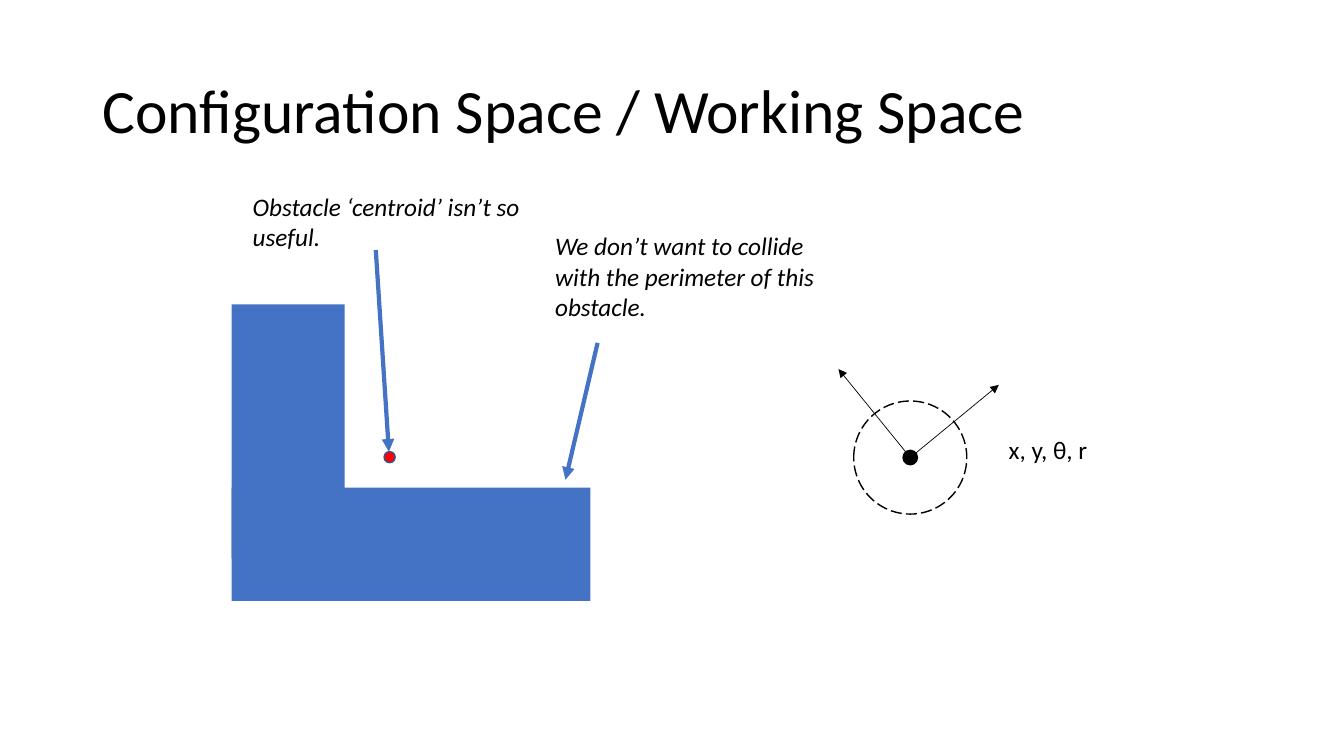
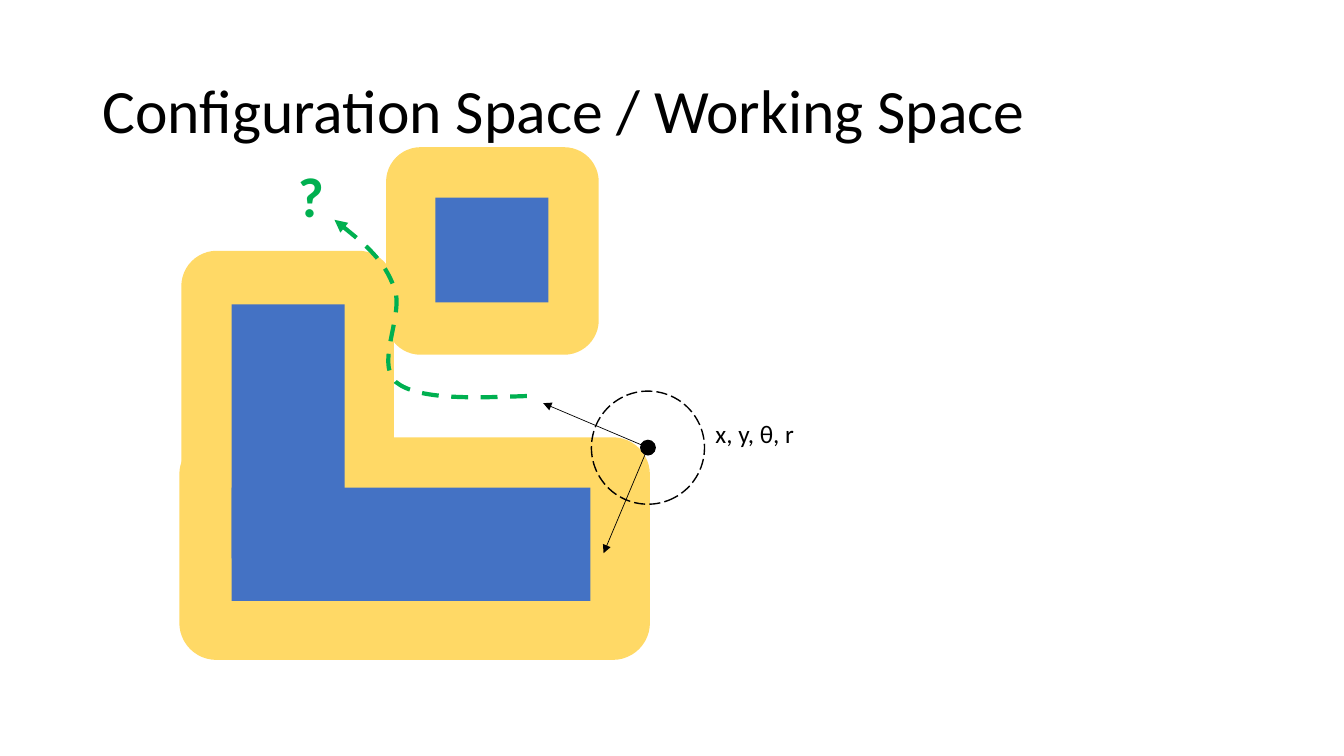
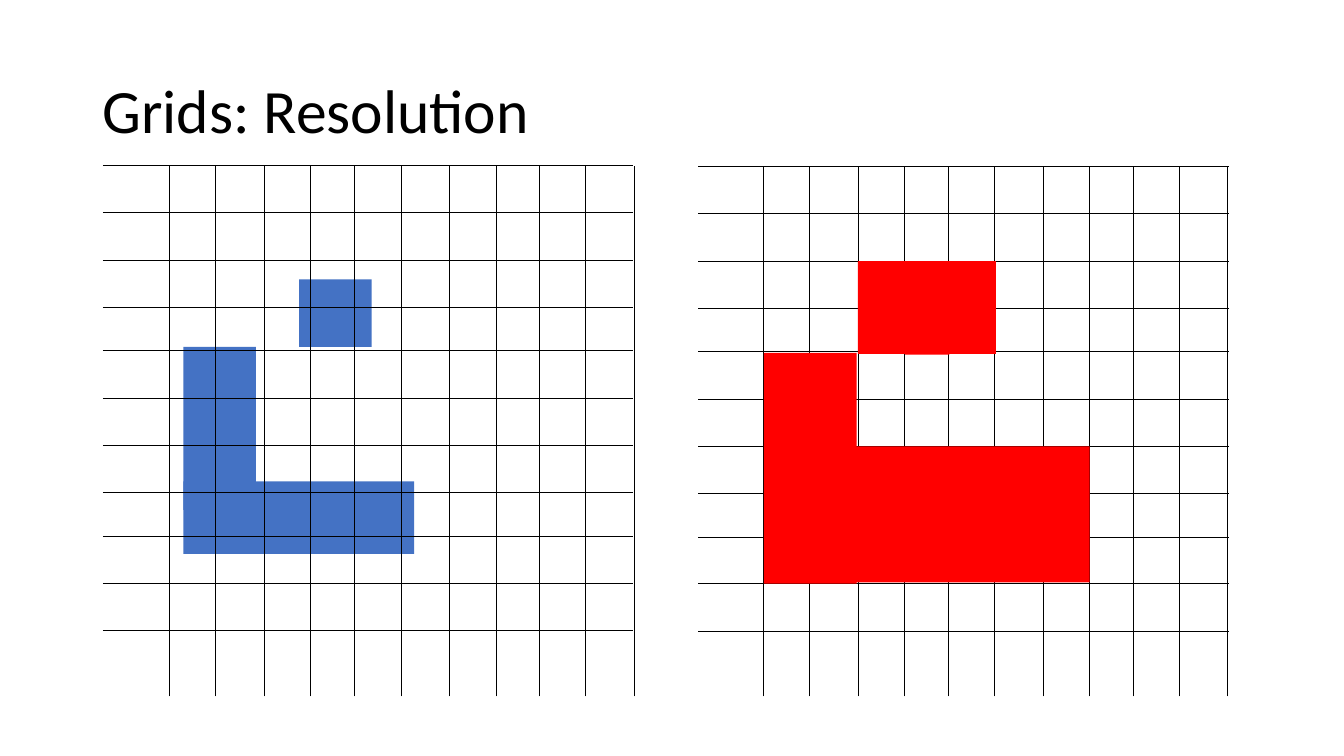
from dataclasses import dataclass
from itertools import accumulate

from lxml.etree import SubElement
from pptx import Presentation
from pptx.dml.color import RGBColor
from pptx.enum.dml import MSO_LINE_DASH_STYLE as Dash
from pptx.enum.shapes import MSO_CONNECTOR_TYPE as Connector, MSO_SHAPE as Shape
from pptx.enum.text import MSO_ANCHOR as Anchor, MSO_AUTO_SIZE as AutoSize, PP_ALIGN as Align
from pptx.oxml.ns import qn
from pptx.util import Cm, Pt


@dataclass(frozen=True)
class Theme:
    font: str = "Calibri"
    ink: str = "000000"
    obstacle: str = "4472C4"
    outline: str = "325491"
    margin: str = "FFD966"
    occupied: str = "FF0000"
    route: str = "00B050"
    title_size: int = 44
    text_size: int = 18
    mark_size: int = 40
    thin: float = 0.5
    medium: float = 1
    thick: float = 3


T = Theme()
TITLE_BOX = (2.33, 1.01, 29.21, 3.68)
ROW_GAPS = (1.19, 1.2, 1.19, 1.09, 1.2, 1.19, 1.19, 1.1, 1.17, 1.19)
COLUMN_GAPS = (1.17, 1.22, 1.17, 1.11, 1.17, 1.22, 1.17, 1.09, 1.17, 1.22)
GRID_SIDE = 13.36
L_OBSTACLE = ((5.84, 7.67, 2.85, 6.4), (5.84, 12.29, 9.04, 2.85))
SMALL_OBSTACLES = (
    (4.62, 8.74, 1.83, 4.11),
    (4.62, 12.13, 5.82, 1.83),
    (7.54, 7.04, 1.83, 1.7),
)
OCCUPIED_CELLS = (
    (22.78, 6.58, 1.12, 1.17),
    (22.81, 7.77, 1.12, 1.17),
    (21.62, 6.58, 3.48, 2.34),
    (19.25, 8.89, 2.34, 5.82),
    (19.51, 11.25, 7.95, 3.43),
)


def rgb(color):
    return RGBColor.from_string(color)


def cm(*values):
    return [Cm(v) for v in values]


def style_font(p, size, color=T.ink, bold=False, italic=False):
    for r in p.runs:
        r.font.name = T.font
        r.font.size = Pt(size)
        r.font.bold = bold
        r.font.italic = italic
        r.font.color.rgb = rgb(color)


def style_line(sp, color, width, dash=None, arrow=False):
    sp.line.color.rgb = rgb(color)
    sp.line.width = Pt(width)
    if dash:
        sp.line.dash_style = dash
    if arrow:
        ln = sp._element.spPr.find(qn("a:ln"))
        SubElement(ln, qn("a:tailEnd"), type="triangle")


def add_slide(prs, title):
    s = prs.slides.add_slide(prs.slide_layouts[5])
    sp = s.shapes.title
    sp.left, sp.top, sp.width, sp.height = cm(*TITLE_BOX)
    tf = sp.text_frame
    tf.text = title
    tf.vertical_anchor = Anchor.MIDDLE
    p = tf.paragraphs[0]
    p.alignment = Align.LEFT
    p.line_spacing = 0.9
    style_font(p, T.title_size)
    return s


def add_text(s, box, text, size=T.text_size, wrap=True, **style):
    tf = s.shapes.add_textbox(*cm(*box)).text_frame
    tf.word_wrap = wrap
    tf.auto_size = AutoSize.SHAPE_TO_FIT_TEXT
    tf.text = text
    style_font(tf.paragraphs[0], size, **style)


def add_shape(s, kind, box, fill=None):
    sp = s.shapes.add_shape(kind, *cm(*box))
    sp.shadow.inherit = False
    if fill:
        sp.fill.solid()
        sp.fill.fore_color.rgb = rgb(fill)
    else:
        sp.fill.background()
    sp.line.fill.background()
    return sp


def add_blocks(s, boxes, fill, kind=Shape.RECTANGLE):
    for box in boxes:
        add_shape(s, kind, box, fill)


def add_circle(s, center, diameter, fill=None):
    x, y = center
    box = (x - diameter / 2, y - diameter / 2, diameter, diameter)
    return add_shape(s, Shape.OVAL, box, fill)


def add_line(s, start, end, color=T.ink, width=T.thin, arrow=False):
    c = s.shapes.add_connector(Connector.STRAIGHT, *cm(*start, *end))
    style_line(c, color, width, arrow=arrow)
    SubElement(c._element.spPr, qn("a:effectLst"))


def add_curve(s, points, color, width):
    start, *rest = [cm(*point) for point in points]
    builder = s.shapes.build_freeform(*start)
    builder.add_line_segments(rest, close=False)
    sp = builder.convert_to_shape()
    sp.shadow.inherit = False
    sp.fill.background()
    style_line(sp, color, width, Dash.DASH, arrow=True)
    segments = list(sp._element.iter(qn("a:lnTo")))
    outline = segments[0].getparent()
    for i in range(0, len(segments), 3):
        bezier = SubElement(outline, qn("a:cubicBezTo"))
        for segment in segments[i:i + 3]:
            bezier.append(segment[0])
            outline.remove(segment)


def add_robot(s, center, tips, label_at, rotation=0):
    add_circle(s, center, 0.4, T.ink)
    for tip in tips:
        add_line(s, center, tip, arrow=True)
    ring = add_circle(s, center, 2.85)
    ring.rotation = rotation
    style_line(ring, T.ink, T.medium, Dash.LONG_DASH)
    add_text(s, (*label_at, 2.51, 1.02), "x, y, θ, r", wrap=False)


def add_grid(s, left, top, first_column):
    for y in accumulate(ROW_GAPS, initial=top):
        add_line(s, (left, y), (left + GRID_SIDE, y))
    for x in accumulate(COLUMN_GAPS, initial=first_column):
        add_line(s, (x, 4.19 + GRID_SIDE), (x, 4.19))


def build_perimeter(prs):
    s = add_slide(prs, "Configuration Space / Working Space")
    add_robot(s, (22.94, 11.53), ((25.17, 9.7), (21.13, 9.3)), (25.17, 10.82))
    add_blocks(s, L_OBSTACLE, T.obstacle)
    add_line(s, (15.06, 8.64), (14.25, 12.09), T.obstacle, T.thick, arrow=True)
    add_text(s, (13.74, 5.69, 7.39, 2.57),
             "We don’t want to collide with the perimeter of this obstacle.", italic=True)
    centroid = add_circle(s, (9.82, 11.52), 0.28, T.occupied)
    style_line(centroid, T.outline, T.medium)
    add_line(s, (9.47, 6.3), (9.8, 11.38), T.obstacle, T.thick, arrow=True)
    add_text(s, (6.12, 4.7, 7.39, 1.8), "Obstacle ‘centroid’ isn’t so useful.", italic=True)


def build_margins(prs):
    s = add_slide(prs, "Configuration Space / Working Space")
    margins = ((9.73, 3.71, 5.36, 5.23), (4.52, 11.02, 11.86, 5.61), (4.57, 6.32, 5.36, 10.26))
    add_blocks(s, margins, T.margin, Shape.ROUNDED_RECTANGLE)
    add_blocks(s, (*L_OBSTACLE, (10.97, 4.98, 2.85, 2.64)), T.obstacle)
    add_robot(s, (16.33, 11.28), ((13.69, 10.16), (15.21, 13.94)), (17.78, 10.41), 241.9)
    route = (
        (13.28, 9.98),
        (11.91, 10.03), (10.54, 10.08), (9.98, 9.63),
        (9.45, 9.14), (10.21, 7.9), (9.93, 7.24),
        (9.68, 6.55), (9.07, 6.05), (8.43, 5.54),
    )
    add_curve(s, route, T.route, T.thick)
    add_text(s, (7.26, 3.94, 1.17, 1.96), "?", T.mark_size, wrap=False, color=T.route, bold=True)


def build_grids(prs):
    s = add_slide(prs, "Grids: Resolution")
    add_blocks(s, SMALL_OBSTACLES, T.obstacle)
    add_grid(s, 2.59, 4.17, 4.27)
    add_grid(s, 17.6, 4.19, 19.23)
    add_blocks(s, OCCUPIED_CELLS, T.occupied)


def main():
    prs = Presentation()
    prs.slide_width, prs.slide_height = cm(33.87, 19.05)
    build_perimeter(prs)
    build_margins(prs)
    build_grids(prs)
    prs.save("out.pptx")


if __name__ == "__main__":
    main()
